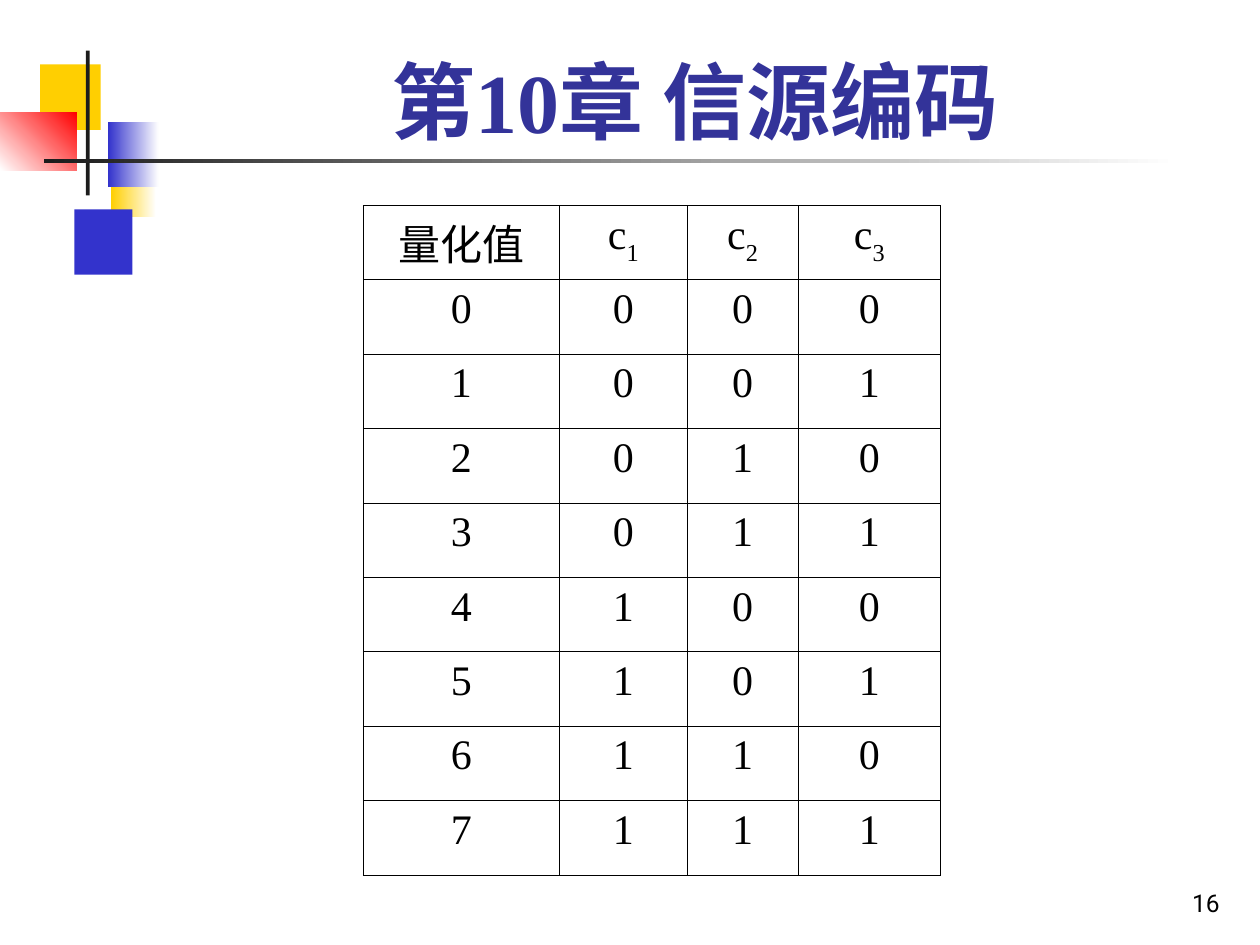
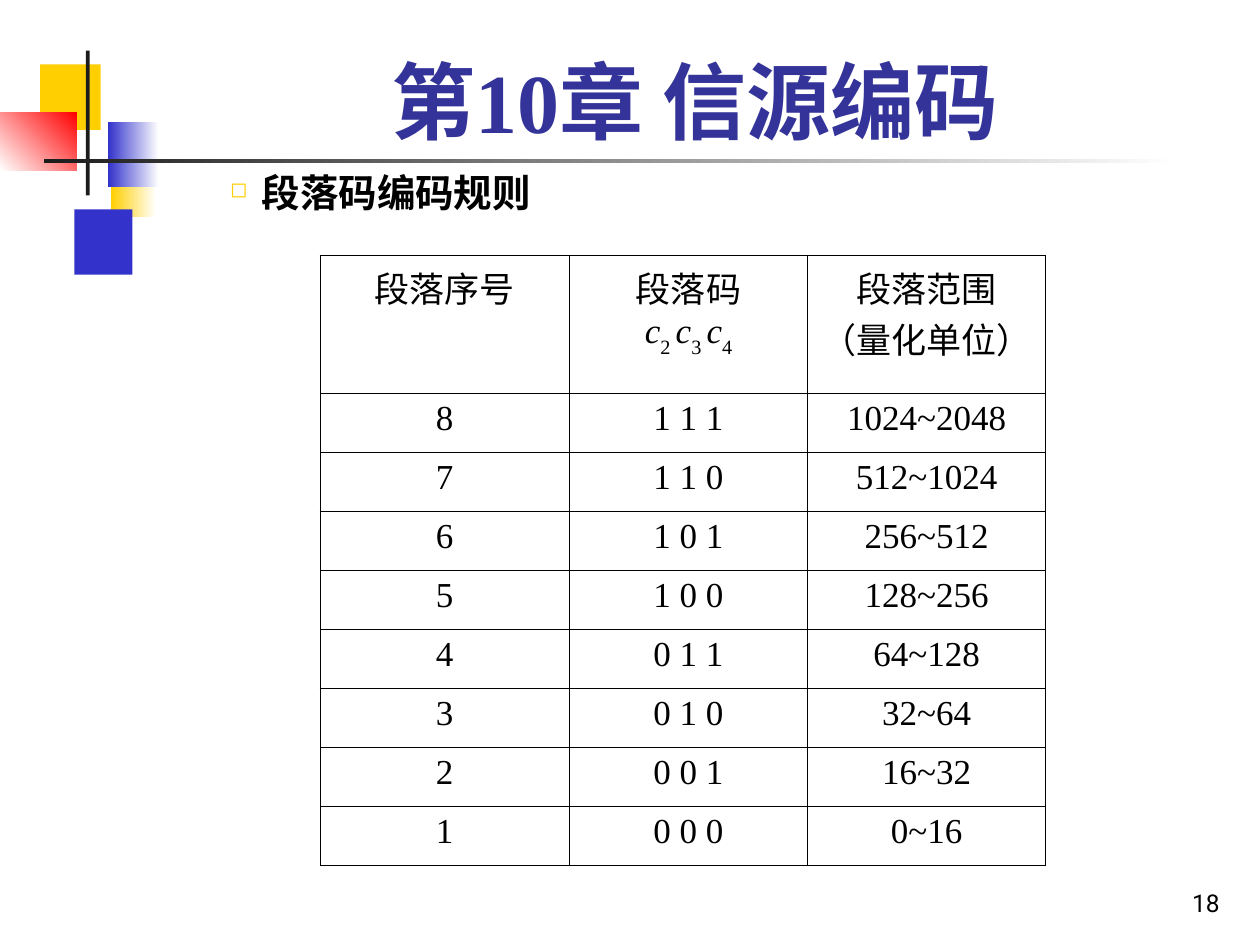
import pptx
import pptx.dml.color
import pptx.enum.shapes
import pptx.enum.text
import pptx.oxml
import pptx.oxml.ns
import pptx.util
from pptx.util import Cm

RGBColor = pptx.dml.color.RGBColor
PP_ALIGN = pptx.enum.text.PP_ALIGN
MSO_ANCHOR = pptx.enum.text.MSO_ANCHOR

WHITE = RGBColor(0xFF, 0xFF, 0xFF)
BLACK = RGBColor(0x00, 0x00, 0x00)
CHARCOAL = RGBColor(0x1C, 0x1C, 0x1C)
YELLOW = RGBColor(0xFF, 0xCF, 0x01)
RED = RGBColor(0xFF, 0x00, 0x00)
BLUE = RGBColor(0x33, 0x33, 0xCC)
TITLE_BLUE = RGBColor(0x33, 0x33, 0x99)
SERIF = "Times New Roman"
SANS = "Roboto"
NAMESPACE = pptx.oxml.ns.nsdecls("a")

# Corner ornament, back to front: left, top, width, height, colours, angle
ORNAMENT = [
    (2.24, 3.05, 0.91, 1.32, [YELLOW, WHITE], 0),
    (1.5, 4.22, 1.17, 1.32, [BLUE], 0),
    (0.81, 1.3, 1.22, 1.32, [YELLOW], 0),
    (2.18, 2.46, 1.02, 1.32, [BLUE, WHITE], 0),
    (0, 2.26, 1.55, 1.17, [WHITE, RED], 45),
    (1.73, 1.02, 0.08, 2.92, [CHARCOAL], 0),
    (0.89, 3.2, 22.86, 0.08, [CHARCOAL, WHITE], 0),
]


def add_text(slide, left, top, width, height, text, font_name, size, color,
             alignment, anchor, bold=False):
    shape = slide.shapes.add_textbox(Cm(left), Cm(top), Cm(width), Cm(height))
    text_frame = shape.text_frame
    text_frame.word_wrap = True
    text_frame.vertical_anchor = anchor
    text_frame.text = text
    paragraph = text_frame.paragraphs[0]
    paragraph.alignment = alignment
    font = paragraph.runs[0].font
    font.name, font.size, font.bold = font_name, pptx.util.Pt(size), bold
    font.color.rgb = color
    return text_frame


def add_grid(slide, left, top, widths, heights, rows, size, italic_symbols=False):
    """Draw a ruled table; in cell text, every second piece between bars is a subscript."""
    table = slide.shapes.add_table(len(rows), len(widths), Cm(left), Cm(top),
                                   Cm(sum(widths)), Cm(sum(heights))).table
    table.first_row = table.horz_banding = False
    for column, width in zip(table.columns, widths):
        column.width = Cm(width)
    for row, height, texts in zip(table.rows, heights, rows):
        row.height = Cm(height)
        for cell, text in zip(row.cells, texts):
            cell.fill.background()
            properties = cell._tc.get_or_add_tcPr()
            for position, side in enumerate("LRTB"):
                properties.insert(position, pptx.oxml.parse_xml(
                    f'<a:ln{side} {NAMESPACE} w="5715"><a:solidFill>'
                    f'<a:srgbClr val="{BLACK}"/></a:solidFill></a:ln{side}>'))
            cell.text_frame.text = "\n".join(line.split("|")[0] for line in text.split("\n"))
            for paragraph, line in zip(cell.text_frame.paragraphs, text.split("\n")):
                paragraph.alignment = PP_ALIGN.CENTER
                pieces = line.split("|")
                for piece in pieces[1:]:
                    paragraph.add_run().text = piece
                for index, run in enumerate(paragraph.runs):
                    run.font.name, run.font.size = SERIF, pptx.util.Pt(size)
                    run.font.color.rgb = BLACK
                    if index % 2:
                        run._r.get_or_add_rPr().set("baseline", "-30000")
                    elif len(pieces) > 1:
                        run.font.italic = italic_symbols


presentation = pptx.Presentation()
presentation.slide_width = Cm(25.4)
presentation.slide_height = Cm(19.05)
blank_layout = presentation.slide_layouts[6]

# Shared frame: ornament, page number, chapter title
slides = []
for page_number in ("16", "18"):
    slide = presentation.slides.add_slide(blank_layout)
    slides.append(slide)
    for left, top, width, height, colors, angle in ORNAMENT:
        shape = slide.shapes.add_shape(pptx.enum.shapes.MSO_SHAPE.RECTANGLE,
                                       Cm(left), Cm(top), Cm(width), Cm(height))
        shape.shadow.inherit = False
        shape.line.fill.background()
        if len(colors) == 1:
            shape.fill.solid()
            shape.fill.fore_color.rgb = colors[0]
        else:
            shape.fill.gradient()
            shape.fill.gradient_angle = angle
            for stop, color in zip(shape.fill.gradient_stops, colors):
                stop.color.rgb = color
    add_text(slide, 19.56, 17.35, 5.28, 1.27, page_number, SANS, 14, BLACK,
             PP_ALIGN.RIGHT, MSO_ANCHOR.BOTTOM)
    add_text(slide, 3.2, 0.58, 21.64, 2.57, "第10章 信源编码", SERIF, 48, TITLE_BLUE,
             PP_ALIGN.CENTER, MSO_ANCHOR.BOTTOM, bold=True)
natural_code_slide, segment_code_slide = slides

# Slide 16: three-bit code of each quantised value
code_rows = [["量化值", "c|1", "c|2", "c|3"]]
for value in range(8):
    code_rows.append([str(value), *format(value, "03b")])
add_grid(natural_code_slide, 7.32, 4.14, [3.96, 2.57, 2.24, 2.87], [1.5] * 9, code_rows, 24)

# Slide 18: bulleted heading
heading = add_text(segment_code_slide, 0.58, 3.4, 24.82, 15.65, "段落码编码规则", SERIF, 22,
                   BLACK, PP_ALIGN.LEFT, MSO_ANCHOR.TOP, bold=True)
heading.margin_top = 0
heading.paragraphs[0].level = 3
heading_properties = heading.paragraphs[0]._p.get_or_add_pPr()
heading_properties.set("marL", str(Cm(4.45)))
heading_properties.set("indent", str(-Cm(0.64)))
for bullet_part in (f'<a:buClr {NAMESPACE}><a:srgbClr val="{YELLOW}"/></a:buClr>',
                    f'<a:buSzPct {NAMESPACE} val="55000"/>',
                    f'<a:buChar {NAMESPACE} char="◻"/>'):
    heading_properties.append(pptx.oxml.parse_xml(bullet_part))

# Slide 18: segment codes, each segment's upper limit doubling the one below
segment_rows = [["段落序号", "段落码\nc|2 |c|3 |c|4", "段落范围\n（量化单位）"]]
for segment in range(8, 0, -1):
    upper = 16 * 2 ** (segment - 1)
    lower = upper // 2 if segment > 1 else 0
    segment_rows.append([str(segment), " ".join(format(segment - 1, "03b")), f"{lower}~{upper}"])
add_grid(segment_code_slide, 6.45, 5.15, [5.03, 4.8, 4.8], [2.77] + [1.19] * 8, segment_rows,
         20, italic_symbols=True)

presentation.save("out.pptx")
